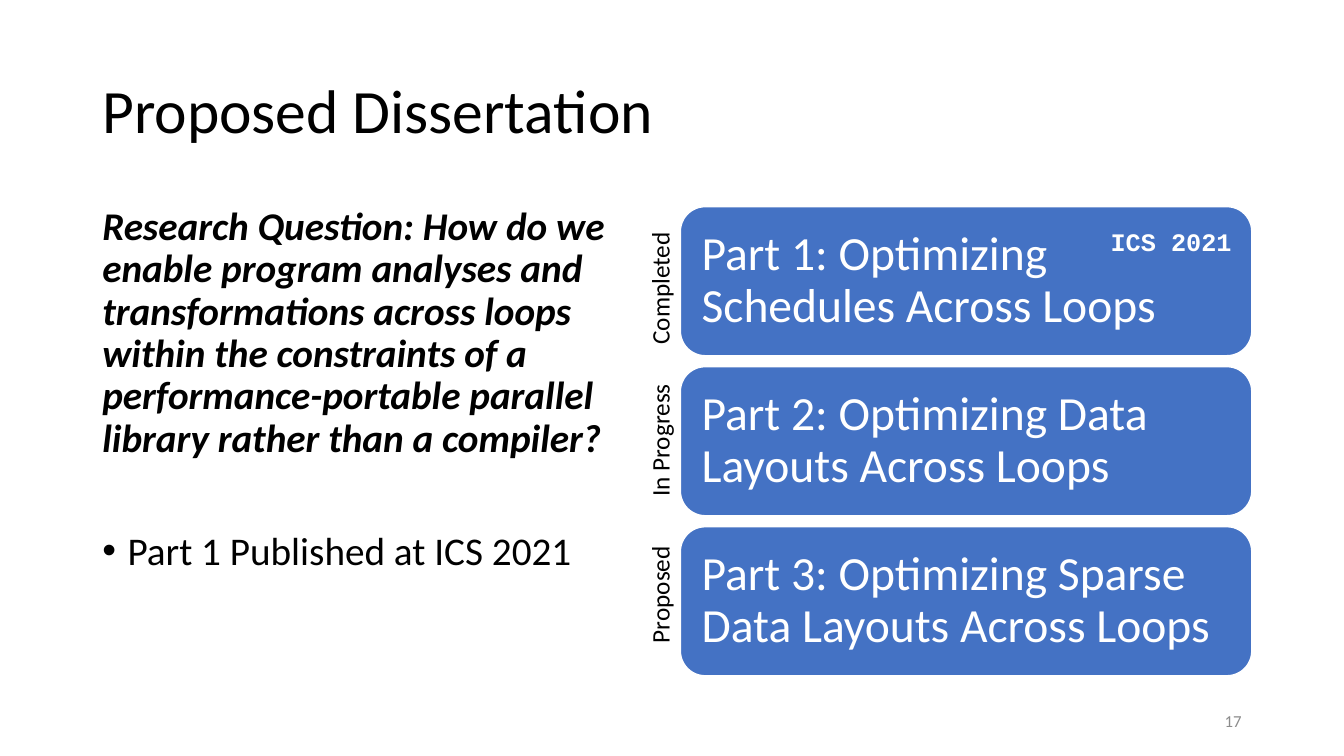
import pptx
import pptx.util
import pptx.dml.color
import pptx.enum.shapes
import pptx.enum.text
from dataclasses import dataclass

Pt = pptx.util.Pt
ALIGN = pptx.enum.text.PP_ALIGN
ANCHOR = pptx.enum.text.MSO_ANCHOR

TITLE = "Proposed Dissertation"
QUESTION = (
    "Research Question: How do we enable program analyses and transformations "
    "across loops within the constraints of a performance-portable parallel "
    "library rather than a compiler?"
)
NEWS = "Part 1 Published at ICS 2021"
PARTS = [
    ("Part 1: Optimizing Schedules Across Loops", "Completed", 206, 96),
    ("Part 2: Optimizing Data Layouts Across Loops", "In Progress", 314.7, 96),
    ("Part 3: Optimizing Sparse Data Layouts Across Loops", "Proposed", 424.8, 84),
]
VENUE = "ICS 2021"
PAGE = "17"


@dataclass(frozen=True)
class Theme:
    font: str = "Calibri"
    mono: str = "Courier New"
    ink: str = "000000"
    card: str = "4472C4"
    paper: str = "FFFFFF"
    muted: str = "8C8C8C"
    title: int = 44
    card_text: int = 34
    body: int = 28
    label: int = 18
    page: int = 12


T = Theme()
CARD_LEFT, CARD_TOP, CARD_W, CARD_H, CARD_STEP = 486, 147.6, 408.2, 106.5, 114.3
LABEL_X, LABEL_H = 471.2, 29


def rgb(value):
    return pptx.dml.color.RGBColor.from_string(value)


def style(p, size, color=T.ink, font=T.font, bold=False, italic=False):
    p.font.size = Pt(size)
    p.font.name = font
    p.font.color.rgb = rgb(color)
    p.font.bold = bold
    p.font.italic = italic


def add_text(slide, box, text, size, anchor=ANCHOR.TOP, align=ALIGN.LEFT,
             wrap=True, **look):
    sp = slide.shapes.add_textbox(*map(Pt, box))
    tf = sp.text_frame
    tf.word_wrap = wrap
    tf.vertical_anchor = anchor
    p = tf.paragraphs[0]
    p.text = text
    p.alignment = align
    style(p, size, **look)
    return sp


def add_bullet(p, indent):
    pPr = p._p.get_or_add_pPr()
    pPr.set("marL", str(Pt(indent)))
    pPr.set("indent", str(-Pt(indent)))
    for tag, name, value in (("a:buFont", "typeface", "Arial"),
                             ("a:buChar", "char", "•")):
        mark = pptx.oxml.xmlchemy.OxmlElement(tag)
        mark.set(name, value)
        pPr.insert_element_before(mark, "a:tabLst", "a:defRPr", "a:extLst")


def add_body(slide):
    sp = add_text(slide, (66, 144, 408, 342.7), QUESTION, T.body,
                  bold=True, italic=True)
    question = sp.text_frame.paragraphs[0]
    news = sp.text_frame.add_paragraph()
    news.text = NEWS
    style(news, T.body)
    for p, gap in ((question, 10), (news, 50.5)):
        p.line_spacing = 0.9
        p.space_before = Pt(gap)
    add_bullet(news, 18)


def add_card(slide, top, text):
    sp = slide.shapes.add_shape(
        pptx.enum.shapes.MSO_SHAPE.ROUNDED_RECTANGLE,
        Pt(CARD_LEFT), Pt(top), Pt(CARD_W), Pt(CARD_H))
    sp.shadow.inherit = False
    sp.fill.solid()
    sp.fill.fore_color.rgb = rgb(T.card)
    sp.line.color.rgb = rgb(T.paper)
    sp.line.width = Pt(1)
    tf = sp.text_frame
    tf.word_wrap = True
    tf.vertical_anchor = ANCHOR.MIDDLE
    tf.margin_left = tf.margin_right = tf.margin_top = tf.margin_bottom = Pt(10)
    p = tf.paragraphs[0]
    p.text = text
    p.alignment = ALIGN.LEFT
    p.line_spacing = 0.9
    style(p, T.card_text, T.paper)


def main():
    prs = pptx.Presentation()
    prs.slide_width, prs.slide_height = Pt(960), Pt(540)
    s = prs.slides.add_slide(prs.slide_layouts[6])

    title = add_text(s, (66, 28.8, 828, 104.4), TITLE, T.title, ANCHOR.MIDDLE)
    title.text_frame.paragraphs[0].line_spacing = 0.9
    add_body(s)

    for i, (text, status, center, width) in enumerate(PARTS):
        add_card(s, CARD_TOP + i * CARD_STEP, text)
        box = (LABEL_X - width / 2, center - LABEL_H / 2, width, LABEL_H)
        label = add_text(s, box, status, T.label, align=ALIGN.CENTER, wrap=False)
        label.rotation = 270

    add_text(s, (786.2, 158.4, 101.5, 29), VENUE, T.label, wrap=False,
             font=T.mono, color=T.paper, bold=True)
    add_text(s, (678, 500.5, 216, 28.8), PAGE, T.page, ANCHOR.MIDDLE,
             ALIGN.RIGHT, color=T.muted)
    prs.save("out.pptx")


if __name__ == "__main__":
    main()
